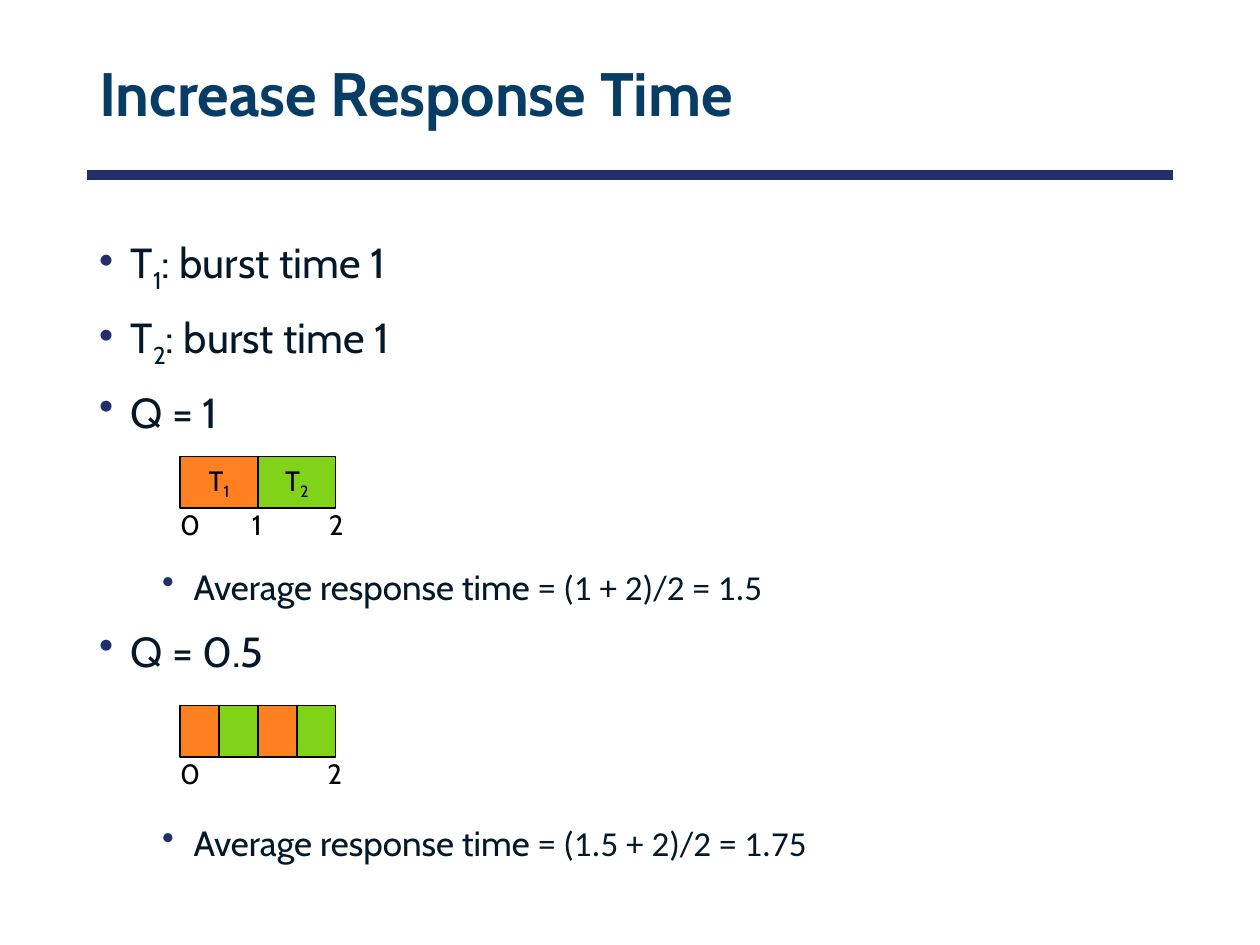
from dataclasses import dataclass

from lxml import etree
from pptx import Presentation
from pptx.dml.color import RGBColor
from pptx.enum.shapes import MSO_CONNECTOR, MSO_SHAPE
from pptx.enum.text import MSO_ANCHOR, MSO_AUTO_SIZE, PP_ALIGN
from pptx.oxml.ns import qn
from pptx.util import Cm, Pt

STRAIGHT = MSO_CONNECTOR.STRAIGHT
RECT = MSO_SHAPE.RECTANGLE
TOP, MIDDLE = MSO_ANCHOR.TOP, MSO_ANCHOR.MIDDLE
CENTER = PP_ALIGN.CENTER
FIT_SHAPE = MSO_AUTO_SIZE.SHAPE_TO_FIT_TEXT


@dataclass(frozen=True)
class Theme:
    font: str = "Cabin"
    formula_font: str = "Calibri"
    title: str = "073C65"
    body: str = "031828"
    accent: str = "21306A"
    black: str = "000000"
    t1: str = "FF8021"
    t2: str = "81D31A"
    title_size: int = 35
    body_size: int = 24
    sub_size: int = 20
    label_size: int = 16


THEME = Theme()
MARGIN, CONTENT_W = 1.75, 21.9
BAR_X, BAR_W, BAR_H = 3.63, 3.14, 1.04


def rgb(value):
    return RGBColor.from_string(value)


def add_run(p, text, size=THEME.label_size, color=THEME.black,
            font=THEME.font, bold=False, subscript=False):
    r = p.add_run()
    r.text = text
    r.font.name = font
    r.font.size = Pt(size)
    r.font.bold = bold
    r.font.color.rgb = rgb(color)
    if subscript:
        r._r.get_or_add_rPr().set("baseline", "-25000")


def add_textbox(shapes, x, y, w, h, anchor=MIDDLE, wrap=True):
    tf = shapes.add_textbox(Cm(x), Cm(y), Cm(w), Cm(h)).text_frame
    tf.word_wrap = wrap
    tf.vertical_anchor = anchor
    return tf


def add_title(s, text):
    p = add_textbox(s.shapes, MARGIN, 0.58, CONTENT_W, 2.74).paragraphs[0]
    p.line_spacing = 0.9
    add_run(p, text, size=THEME.title_size, color=THEME.title, bold=True)


def add_rule(s, y):
    line = s.shapes.add_connector(
        STRAIGHT, Cm(MARGIN), Cm(y), Cm(MARGIN + CONTENT_W), Cm(y))
    line.line.color.rgb = rgb(THEME.accent)
    line.line.width = Pt(6)
    etree.SubElement(line._element.spPr, qn("a:effectLst"))


def set_bullet(p, left):
    pPr = p._p.get_or_add_pPr()
    pPr.set("marL", str(Cm(left)))
    pPr.set("indent", str(-Cm(0.635)))
    clr = etree.SubElement(pPr, qn("a:buClr"))
    etree.SubElement(clr, qn("a:srgbClr"), val=THEME.accent)
    etree.SubElement(pPr, qn("a:buChar"), char="•")


def add_bullets(s, items):
    """Each item is (level, space before, [(text, run format), ...])."""
    tf = add_textbox(s.shapes, MARGIN, 4.65, CONTENT_W, 13.79, anchor=TOP)
    for i, (level, before, runs) in enumerate(items):
        p = tf.add_paragraph() if i else tf.paragraphs[0]
        p.level = level
        set_bullet(p, 1.905 if level else 0.635)
        p.space_before = Pt(before)
        size = THEME.sub_size if level else THEME.body_size
        for text, fmt in runs:
            add_run(p, text, size=size, color=THEME.body, **fmt)


def add_slot(shapes, x, y, w, fill, task=""):
    sp = shapes.add_shape(RECT, Cm(x), Cm(y), Cm(w), Cm(BAR_H))
    sp.shadow.inherit = False
    sp.fill.solid()
    sp.fill.fore_color.rgb = rgb(fill)
    sp.line.color.rgb = rgb(THEME.black)
    sp.line.width = Pt(0.75)
    if task:
        tf = sp.text_frame
        tf.word_wrap = False
        tf.vertical_anchor = MIDDLE
        p = tf.paragraphs[0]
        p.alignment = CENTER
        add_run(p, "T")
        add_run(p, task, subscript=True)


def add_timeline(s, y, tasks, ticks, labelled):
    """Draw equal time slots for the tasks, with (text, x) ticks below."""
    shapes = s.shapes.add_group_shape().shapes
    w = BAR_W / len(tasks)
    fills = {"1": THEME.t1, "2": THEME.t2}
    for i, task in enumerate(tasks):
        add_slot(shapes, BAR_X + i * w, y, w, fills[task],
                 task if labelled else "")
    for text, x in ticks:
        tf = add_textbox(shapes, x, y + 0.9, 0.79, 0.94, wrap=False)
        tf.auto_size = FIT_SHAPE
        add_run(tf.paragraphs[0], text)


def main():
    prs = Presentation()
    prs.slide_width, prs.slide_height = Cm(25.4), Cm(19.05)
    s = prs.slides.add_slide(prs.slide_layouts[6])

    add_rule(s, 3.53)
    add_title(s, "Increase Response Time")

    sub, formula = {"subscript": True}, {"font": THEME.formula_font}
    average = ("Average response time ", {})
    # Larger spacing leaves room for the timelines.
    add_bullets(s, [
        (0, 0, [("T", {}), ("1", sub), (": burst time 1", {})]),
        (0, 10, [("T", {}), ("2", sub), (": burst time 1", {})]),
        (0, 10, [("Q = 1", {})]),
        (1, 73.5, [average, ("= (1 + 2)/2 = 1.5", formula)]),
        (0, 10, [("Q = 0.5", {})]),
        (1, 83.5, [average, ("= (1.5 + 2)/2 = 1.75", formula)]),
    ])

    add_timeline(s, 9.2, "12", [("0", 3.38), ("1", 4.83), ("2", 6.38)], True)
    add_timeline(s, 14.22, "1212", [("0", 3.38), ("2", 6.35)], False)

    prs.save("out.pptx")


if __name__ == "__main__":
    main()
